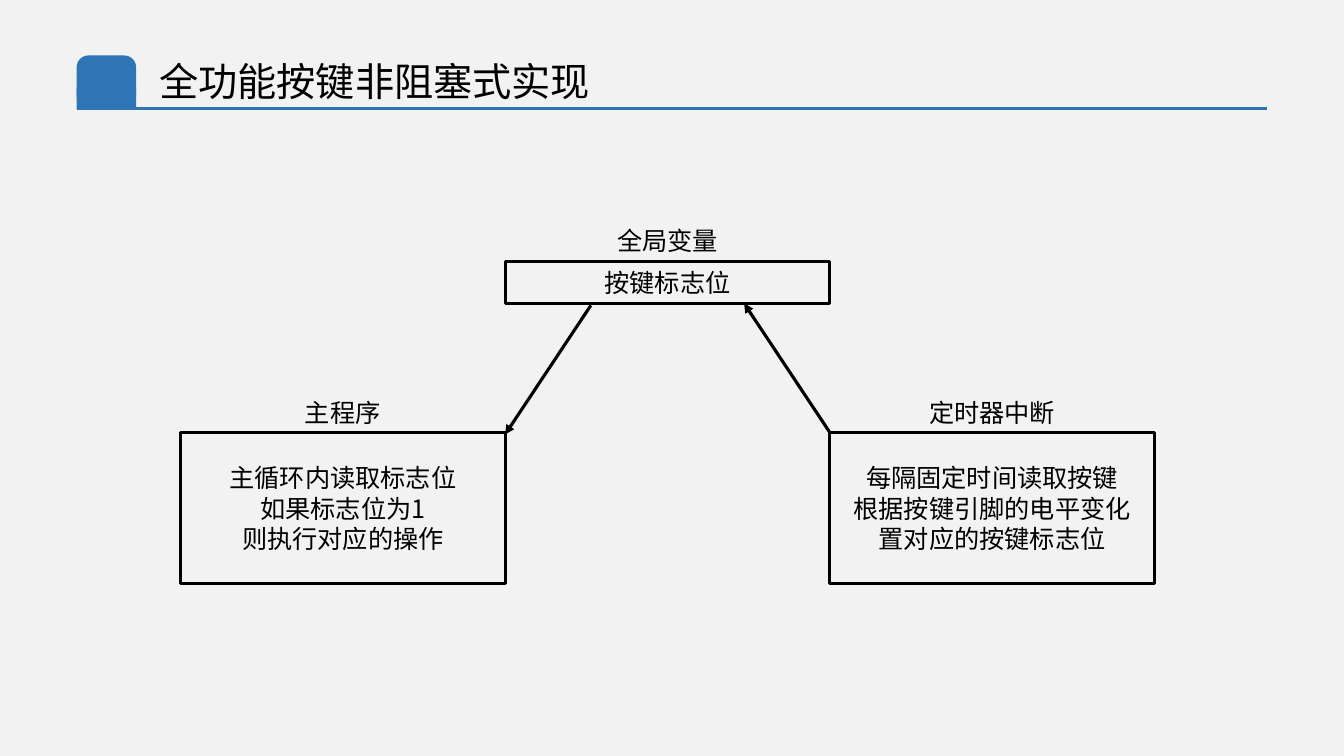
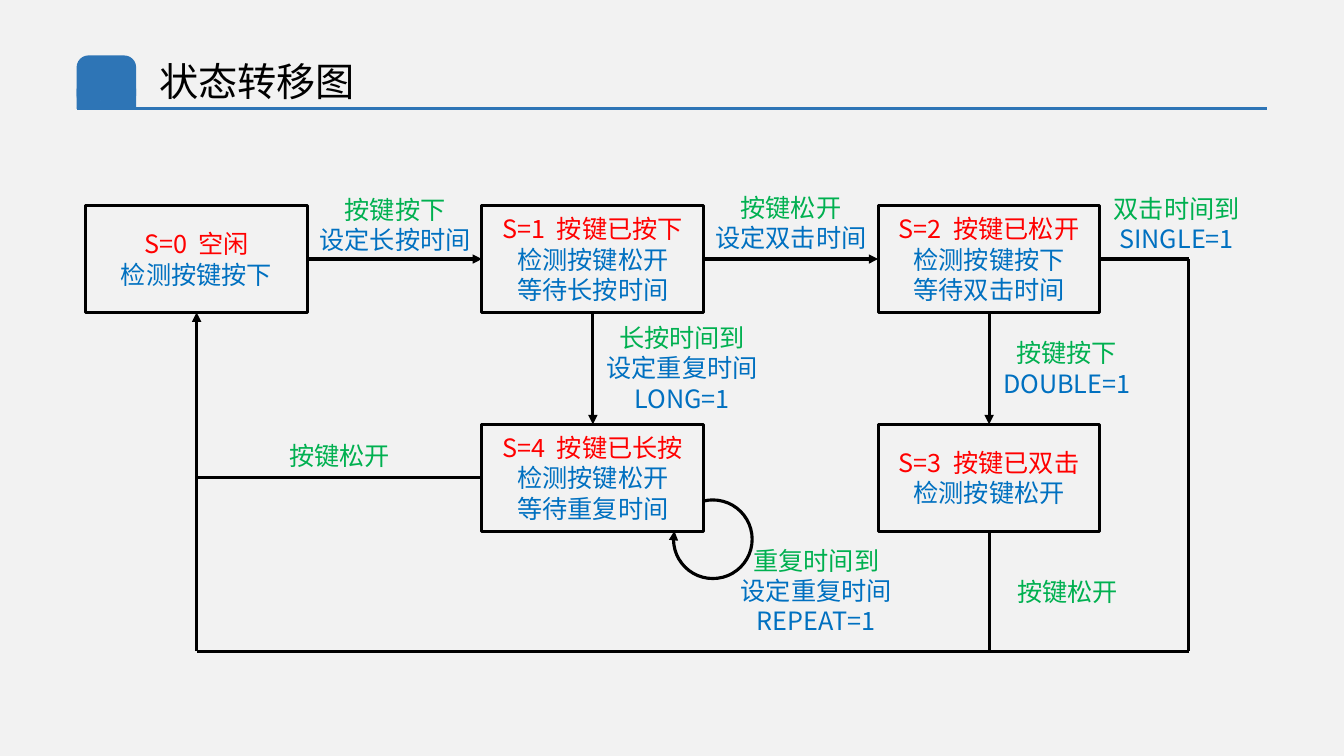
import dataclasses

import lxml.etree
import pptx
import pptx.dml.color
import pptx.enum.shapes
import pptx.enum.text
import pptx.oxml.ns
import pptx.util

Inches = pptx.util.Inches
SHAPE = pptx.enum.shapes.MSO_SHAPE
ALIGN = pptx.enum.text.PP_ALIGN
TOP, LEFT, BOTTOM, RIGHT = range(4)


@dataclasses.dataclass(frozen=True)
class Theme:
    paper: str = "F2F2F2"
    accent: str = "2E75B6"
    white: str = "FFFFFF"
    ink: str = "000000"
    state: str = "FF0000"
    event: str = "00B050"
    action: str = "0070C0"
    font: str = "Noto Sans CJK SC"
    caption_font: str = "Arial"
    title_size: int = 28
    body_size: int = 18
    line_width: float = 2.25


THEME = Theme()

# In all texts a line is a paragraph, and "|" starts a new span within it.
OVERVIEW_TITLE = "全功能按键非阻塞式实现"
MODULES = [  # caption, text, column, top, height
    ("主程序", "主循环内读取标志位\n如果标志位为1\n则执行对应的操作", 0, 4.29, 1.5),
    ("定时器中断", "每隔固定时间读取按键\n根据按键引脚的电平变化\n置对应的按键标志位", 2, 4.29, 1.5),
    ("全局变量", "按键标志位", 1, 2.59, 0.42),
]
MODULE_LEFT, MODULE_WIDTH = 1.79, 3.22
CAPTION_WIDTH, CAPTION_HEIGHT = 2.64, 0.4
FLAG_ARROWS = [((8.23, 4.29), (7.38, 3.01)), ((5.86, 3.03), (5.01, 4.31))]

DIAGRAM_TITLE = "状态转移图"
STATES = {  # text, column, row
    "idle": ("S=0  空闲\n检测按键按下", 0, 0),
    "pressed": ("S=1  按键已按下\n检测按键松开\n等待长按时间", 1, 0),
    "released": ("S=2  按键已松开\n检测按键按下\n等待双击时间", 2, 0),
    "held": ("S=4  按键已长按\n检测按键松开\n等待重复时间", 1, 1),
    "double": ("S=3  按键已双击\n检测按键松开", 2, 1),
}
STATE_LEFT, STATE_TOP = 0.85, 2.04
STATE_WIDTH, STATE_HEIGHT = 2.2, 1.06
COLUMN_STEP, ROW_STEP = 3.93, 2.17

RETURN_X = STATE_LEFT + STATE_WIDTH / 2
DOUBLE_X = RETURN_X + 2 * COLUMN_STEP
SINGLE_X, RETURN_Y = 11.79, 6.46
TOP_ROW_Y = STATE_TOP + STATE_HEIGHT / 2
LOWER_ROW_Y = TOP_ROW_Y + ROW_STEP
LINKS = [  # start, end, arrow; an end is a point or a state with its side
    (("idle", RIGHT), ("pressed", LEFT), True),
    (("pressed", RIGHT), ("released", LEFT), True),
    (("pressed", BOTTOM), ("held", TOP), True),
    (("released", BOTTOM), ("double", TOP), True),
    (("held", LEFT), (RETURN_X, LOWER_ROW_Y), False),
    ((RETURN_X, RETURN_Y), ("idle", BOTTOM), True),
    ((SINGLE_X, TOP_ROW_Y), ("released", RIGHT), False),
    ((SINGLE_X, RETURN_Y), (SINGLE_X, TOP_ROW_Y), False),
    ((DOUBLE_X, RETURN_Y), ("double", BOTTOM), False),
    ((RETURN_X, RETURN_Y), (SINGLE_X, RETURN_Y), False),
]
LABELS = [  # text, (left, top, width, height)
    ("按键按下\n设定长按时间", (3.05, 1.88, 1.74, 0.71)),
    ("按键松开\n设定双击时间", (6.96, 1.86, 1.77, 0.71)),
    ("长按时间到\n设定重复时间LONG=1", (5.88, 3.15, 1.77, 1.01)),
    ("按键松开", (2.71, 4.32, 1.32, 0.4)),
    ("重复时间到\n设定重复时间REPEAT=1", (7.12, 5.36, 1.95, 1.01)),
    ("按键按下|DOUBLE=1", (9.82, 3.3, 1.52, 0.71)),
    ("双击时间到|SINGLE=1", (10.91, 1.87, 1.52, 0.71)),
    ("按键松开", (9.84, 5.67, 1.5, 0.4)),
]
REPEAT_LOOP = (6.68, 4.96, 0.78, 0.78)
LOOP_ANGLES = (257.2, 192.2)

HOUSE = [(1.16, 0.82), (1.22, 0.82), (1.05, 0.67), (0.89, 0.82), (0.95, 0.82),
         (0.95, 0.95), (1.03, 0.95), (1.03, 0.87), (1.09, 0.87), (1.09, 0.95),
         (1.16, 0.95)]


def rgb(colour):
    return pptx.dml.color.RGBColor.from_string(colour)


def inches(lengths):
    return [Inches(length) for length in lengths]


def add_xml(parent, tag, **attributes):
    return lxml.etree.SubElement(parent, pptx.oxml.ns.qn(tag), attributes)


def write(frame, text, size=THEME.body_size, lead=THEME.ink, rest=None,
          font=THEME.font, align=ALIGN.CENTER):
    """Fill the frame; the first span takes the lead colour, the others rest."""
    frame.word_wrap = True
    colour = lead
    for number, line in enumerate(text.split("\n")):
        para = frame.add_paragraph() if number else frame.paragraphs[0]
        para.alignment = align
        for words in line.split("|"):
            span = para.add_run()
            span.text = words
            span.font.size = pptx.util.Pt(size)
            span.font.color.rgb = rgb(colour)
            span.font.name = font
            add_xml(span.font._element, "a:ea", typeface=THEME.font)
            colour = rest or lead


def draw_line(shape, colour=THEME.ink, arrow=False):
    shape.line.color.rgb = rgb(colour)
    shape.line.width = pptx.util.Pt(THEME.line_width)
    if arrow:
        outline = shape._element.spPr.find(pptx.oxml.ns.qn("a:ln"))
        add_xml(outline, "a:tailEnd", type="triangle")


def paint(shape, colour):
    shape.shadow.inherit = False
    shape.fill.solid()
    shape.fill.fore_color.rgb = rgb(colour)
    shape.line.fill.background()


def add_outline(page, kind, place, arrow=False):
    """Add an unfilled shape with the common outline."""
    shape = page.shapes.add_shape(kind, *inches(place))
    shape.shadow.inherit = False
    shape.fill.background()
    draw_line(shape, arrow=arrow)
    return shape


def add_box(page, text, place, **style):
    box = add_outline(page, SHAPE.RECTANGLE, place)
    box.text_frame.vertical_anchor = pptx.enum.text.MSO_ANCHOR.MIDDLE
    write(box.text_frame, text, **style)
    return box


def add_label(page, text, place, **style):
    label = page.shapes.add_textbox(*inches(place))
    write(label.text_frame, text, **style)
    label.text_frame.auto_size = pptx.enum.text.MSO_AUTO_SIZE.SHAPE_TO_FIT_TEXT


def add_link(shapes, start, end, colour=THEME.ink, arrow=False, boxes=None):
    """Join two ends, each a point or the key of a box with a side."""
    boxes = boxes or {}
    points = [(0, 0) if stop[0] in boxes else stop for stop in (start, end)]
    link = shapes.add_connector(pptx.enum.shapes.MSO_CONNECTOR.STRAIGHT,
                                *inches(points[0] + points[1]))
    for stop, connect in ((start, link.begin_connect), (end, link.end_connect)):
        if stop[0] in boxes:
            connect(boxes[stop[0]], stop[1])
    draw_line(link, colour, arrow)
    add_xml(link._element.spPr, "a:effectLst")


def add_page(deck, title):
    """Add a slide with its title, the home badge and the rule below."""
    page = deck.slides.add_slide(deck.slide_layouts.get_by_name("Title Only"))
    heading = page.shapes.title
    heading.left, heading.top, heading.width, heading.height = inches((1.48, 0.52, 9.54, 0.57))
    heading.text_frame.vertical_anchor = pptx.enum.text.MSO_ANCHOR.TOP
    write(heading.text_frame, title, size=THEME.title_size, align=ALIGN.LEFT)
    heading.text_frame.auto_size = pptx.enum.text.MSO_AUTO_SIZE.SHAPE_TO_FIT_TEXT

    parts = page.shapes.add_group_shape().shapes
    badge = parts.add_shape(SHAPE.ROUNDED_RECTANGLE, *inches((0.76, 0.55, 0.59, 0.51)))
    badge.adjustments[0] = 0.23
    paint(badge, THEME.accent)
    add_link(parts, (0.76, 1.08), (12.57, 1.08), colour=THEME.accent)
    base = parts.add_shape(SHAPE.RECTANGLE, *inches((0.76, 0.88, 0.59, 0.2)))
    paint(base, THEME.accent)
    outline = parts.build_freeform(*HOUSE[0], scale=Inches(1))
    outline.add_line_segments(HOUSE[1:], close=True)
    paint(outline.convert_to_shape(), THEME.white)
    return page


def build_overview(deck):
    page = add_page(deck, OVERVIEW_TITLE)
    for caption, text, column, top, height in MODULES:
        left = MODULE_LEFT + column * MODULE_WIDTH
        add_box(page, text, (left, top, MODULE_WIDTH, height))
        add_label(page, caption,
                  (left + (MODULE_WIDTH - CAPTION_WIDTH) / 2, top - CAPTION_HEIGHT,
                   CAPTION_WIDTH, CAPTION_HEIGHT), font=THEME.caption_font)
    for start, end in FLAG_ARROWS:
        add_link(page.shapes, start, end, arrow=True)


def build_diagram(deck):
    page = add_page(deck, DIAGRAM_TITLE)
    boxes = {}
    for name, (text, column, row) in STATES.items():
        place = (STATE_LEFT + column * COLUMN_STEP, STATE_TOP + row * ROW_STEP,
                 STATE_WIDTH, STATE_HEIGHT)
        boxes[name] = add_box(page, text, place, lead=THEME.state, rest=THEME.action)
    for start, end, arrow in LINKS:
        add_link(page.shapes, start, end, arrow=arrow, boxes=boxes)
    loop = add_outline(page, SHAPE.ARC, REPEAT_LOOP, arrow=True)
    for number, angle in enumerate(LOOP_ANGLES):
        loop.adjustments[number] = angle * 0.6  # 60000 units a degree, 100000 a step
    for text, place in LABELS:
        add_label(page, text, place, lead=THEME.event, rest=THEME.action)


def main():
    deck = pptx.Presentation()
    deck.slide_width, deck.slide_height = inches((13.33, 7.5))
    backdrop = deck.slide_master.background.fill
    backdrop.solid()
    backdrop.fore_color.rgb = rgb(THEME.paper)
    build_overview(deck)
    build_diagram(deck)
    deck.save("out.pptx")


if __name__ == "__main__":
    main()
